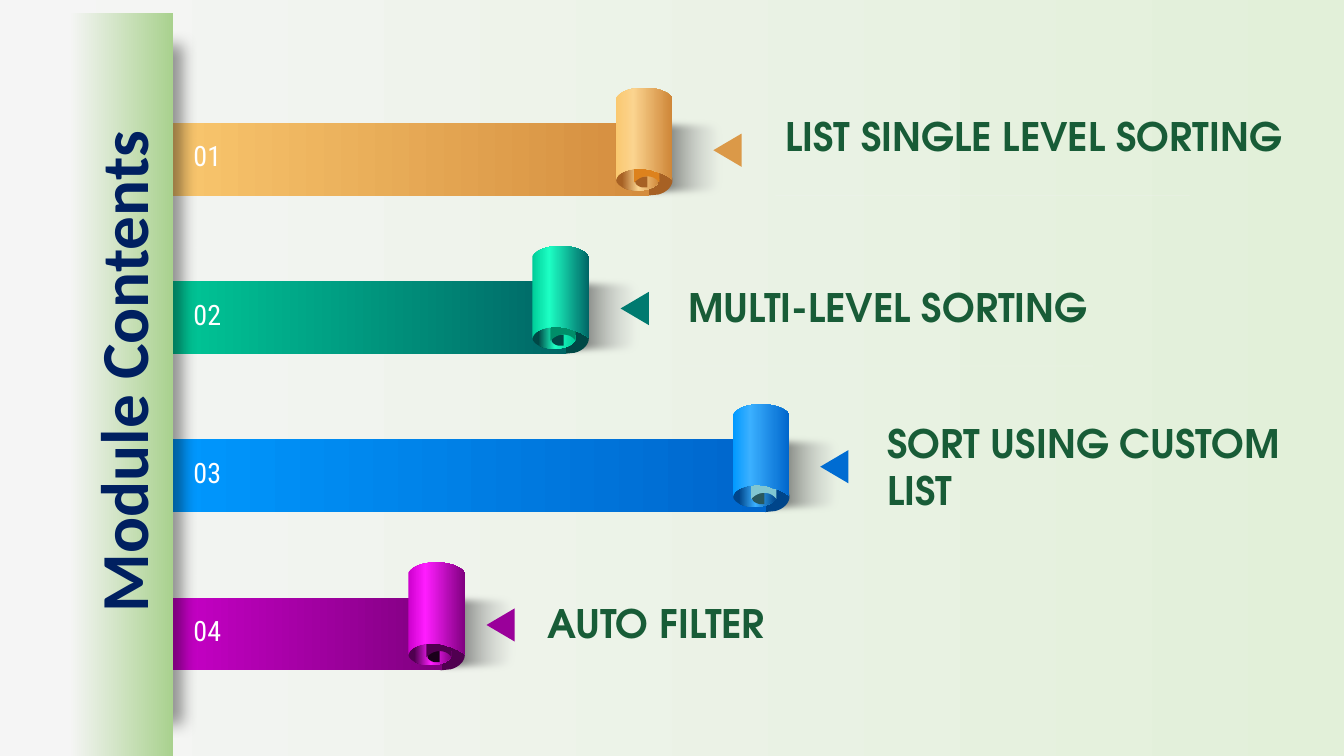
from dataclasses import dataclass

from lxml import etree
from pptx import Presentation
from pptx import util as u
from pptx.dml.color import RGBColor
from pptx.enum import shapes, text
from pptx.oxml.ns import qn

Stops = list[tuple[int, str]]
Path = list[tuple[float, ...]]
KIND = shapes.MSO_SHAPE
STEP = 1.57
LEFT = 1.51

CURL: Path = [(.56, .92), (.56, .98, .5, 1.04, .42, 1.06), (.32, 1.07), (.32, .76),
              (.42, .77), (.5, .8, .56, .85, .56, .92)]
HOLE: Path = [(.19, .93), (.19, .96, .22, .98, .26, .99), (.31, .99), (.31, .88),
              (.26, .88), (.22, .89, .19, .91, .19, .93)]
INNER: Path = [(.18, .51), (.22, .44, .39, .44, .43, .51), (.43, .94),
               (.4, .9, .36, .88, .31, .88), (.26, .88, .22, .9, .18, .94)]
TUBE: Path = [(.28, 0), (.39, 0, .51, .03, .56, .1), (.56, .91),
              (.52, .88, .48, .86, .43, .84), (.39, .83), (.34, .81),
              (.31, .81, .28, .8, .24, .8), (.13, .8, .03, .84, .01, .89),
              (0, .92), (0, .1), (.05, .03, .16, 0, .28, 0)]


@dataclass
class Ribbon:
    roll: float
    band: tuple[str, str]
    shine: str
    edge: str
    tube: str
    oval: str
    curl: str
    hole: str
    inner: str
    arrow: float
    tint: str
    label: str
    x: float
    y: float
    width: float
    rule: float = 0


RIBBONS = [
    Ribbon(6.11, ("FAC86F", "D48D3E"), "FBD48F", "A76124", "CE8537", "CE8537",
           "A76124", "A76124", "DD821D", 7.05, "DB9948",
           "LIST SINGLE LEVEL SORTING", 7.69, 1.07, 5.3, 1.94),
    Ribbon(5.28, ("00CC99", "006666"), "1DFFC4", "004846", "006666", "00CC99",
           "004846", "004846", "008E69", 6.13, "007A70",
           "MULTI-LEVEL SORTING", 6.73, 2.76, 5.68, 3.63),
    Ribbon(7.27, ("0099FF", "0066CC"), "3BB0FF", "00458A", "0066CC", "00458A",
           "00458A", "28585E", "81C6D1", 8.11, "006CD2",
           "SORT USING CUSTOM LIST", 8.7, 4.11, 4.28),
    Ribbon(4.05, ("CC00CC", "800080"), "FF1DFF", "500050", "800080", "800080",
           "500050", "1A001A", "500050", 4.8, "9A009A",
           "AUTO FILTER", 5.33, 5.9, 6.39),
]

deck = Presentation()
deck.slide_width, deck.slide_height = u.Inches(13.33), u.Inches(7.5)
slide = deck.slides.add_slide(deck.slide_layouts[5])
tree = slide.shapes


def fade(root, alpha: int) -> None:
    tone = list(root.iter(qn("a:srgbClr")))[-1]
    etree.SubElement(tone, qn("a:alpha"), val=str(alpha * 1000))


def paint(fill, root, tone: str | Stops) -> None:
    if isinstance(tone, str):
        fill.solid()
        fill.fore_color.rgb = RGBColor.from_string(tone)
        return
    fill.gradient()
    fill.gradient_angle = 0
    group = next(root.iter(qn("a:gsLst")))
    for old in list(group):
        group.remove(old)
    for place, code in tone:
        stop = etree.SubElement(group, qn("a:gs"), pos=str(place * 1000))
        etree.SubElement(stop, qn("a:srgbClr"), val=code)


def finish(shape, tone: str | Stops):
    paint(shape.fill, shape._element, tone)
    shape.line.fill.background()
    shape.shadow.inherit = False
    return shape


def block(kind, x: float, y: float, w: float, h: float, tone: str | Stops):
    return finish(tree.add_shape(kind, *map(u.Inches, (x, y, w, h))), tone)


def outline(path: Path, x: float, y: float, tone: str | Stops):
    dots = [path[0]]
    for part in path[1:]:
        if len(part) == 2:
            dots.append(part)
            continue
        a, b, c, d = dots[-1], part[:2], part[2:4], part[4:]
        for n in range(1, 9):
            t = n / 8
            s = 1 - t
            dots.append(tuple(s**3 * a[k] + 3 * s * s * t * b[k] + 3 * s * t * t * c[k]
                              + t**3 * d[k] for k in (0, 1)))
    spots = [(u.Inches(x + p), u.Inches(y + q)) for p, q in dots]
    form = tree.build_freeform(*spots[0], scale=1.0)
    form.add_line_segments(spots[1:], close=True)
    return finish(form.convert_to_shape(), tone)


def effect(shape, name: str, **sizes: str):
    return etree.SubElement(next(shape._element.iter(qn("a:effectLst"))), qn(name), **sizes)


def write(frame, words: str, size: int, font: str, tone: str, bold: bool = False) -> None:
    frame.word_wrap = True
    run = frame.paragraphs[0].add_run()
    run.text = words
    run.font.size, run.font.name, run.font.bold = u.Pt(size), font, bold
    paint(run.font.fill, run._r, tone)


def box(x: float, y: float, w: float, h: float):
    return tree.add_textbox(*map(u.Inches, (x, y, w, h))).text_frame


def draw_roll(item: Ribbon, row: int) -> None:
    x, y = item.roll, .87 + STEP * row
    start, end = item.band
    shade = block(KIND.RECTANGLE, x + .21, y + .27, .93, .86,
                  [(0, "000000"), (100, "E9EBEA")])
    fade(shape_root := shade._element.spPr, 0)
    effect(shade, "a:softEdge", rad=str(u.Pt(6)))
    outline(CURL, x, y, item.curl)
    block(KIND.RECTANGLE, LEFT, y + .35, x + .33 - LEFT, .72, [(0, start), (100, end)])
    block(KIND.OVAL, x, y + .8, .43, .22,
          [(14, item.edge), (52, item.shine), (100, item.oval)])
    outline(HOLE, x, y, item.hole)
    outline(INNER, x, y, item.inner)
    outline(TUBE, x, y, [(0, start), (30, item.shine), (100, item.tube)])


def draw_text(item: Ribbon, row: int) -> None:
    shift = STEP * row
    write(box(1.82, 1.33 + shift, .55, .44), f"{row + 1:02}", 20, "Roboto Condensed", "FFFFFF")
    block(KIND.ISOSCELES_TRIANGLE, item.arrow, 1.35 + shift, .33, .28, item.tint).rotation = 270
    high = 1.04 if item.width < 5 else .57
    write(box(item.x, item.y, item.width, high), item.label, 28,
          "TeX Gyre Adventor", "185C37", True)
    if item.rule:
        ends = map(u.Inches, (item.x, item.rule, item.x + 4.11, item.rule))
        rule = tree.add_connector(shapes.MSO_CONNECTOR.STRAIGHT, *ends)
        rule.line.width = u.Pt(.5)
        paint(rule.line.fill, rule._element, "F2F2F2")
        fade(rule._element.spPr, 30)
        etree.SubElement(rule._element.spPr, qn("a:effectLst"))


def draw_panel() -> None:
    strip = block(KIND.RECTANGLE, 1.16, .45, .55, 6.72, "F4F4F4")
    cast = effect(strip, "a:outerShdw", blurRad=str(u.Pt(11)), dist=str(u.Pt(7)),
                  dir="0", algn="l", rotWithShape="0")
    etree.SubElement(cast, qn("a:srgbClr"), val="000000")
    fade(cast, 40)
    block(KIND.RECTANGLE, .68, .13, 1.04, 7.37, [(0, "F5F5F5"), (100, "A9D18E")])


def draw_title() -> None:
    title = tree.title
    title.left, title.top, title.width, title.height = map(u.Inches, (-2.47, 3.23, 7.37, .91))
    title.rotation = 270
    frame = title.text_frame
    frame.vertical_anchor = text.MSO_ANCHOR.TOP
    frame.auto_size = text.MSO_AUTO_SIZE.NONE
    frame.paragraphs[0].alignment = text.PP_ALIGN.CENTER
    write(frame, "Module Contents", 48, "Calibri", "002060", True)
    tree._spTree.append(title._element)


def main() -> None:
    paint(slide.background.fill, slide._element, [(0, "F5F5F5"), (100, "E2F0D9")])
    for row, item in enumerate(RIBBONS):
        draw_roll(item, row)
    draw_panel()
    for row, item in enumerate(RIBBONS):
        draw_text(item, row)
    draw_title()
    deck.save("out.pptx")


if __name__ == "__main__":
    main()
